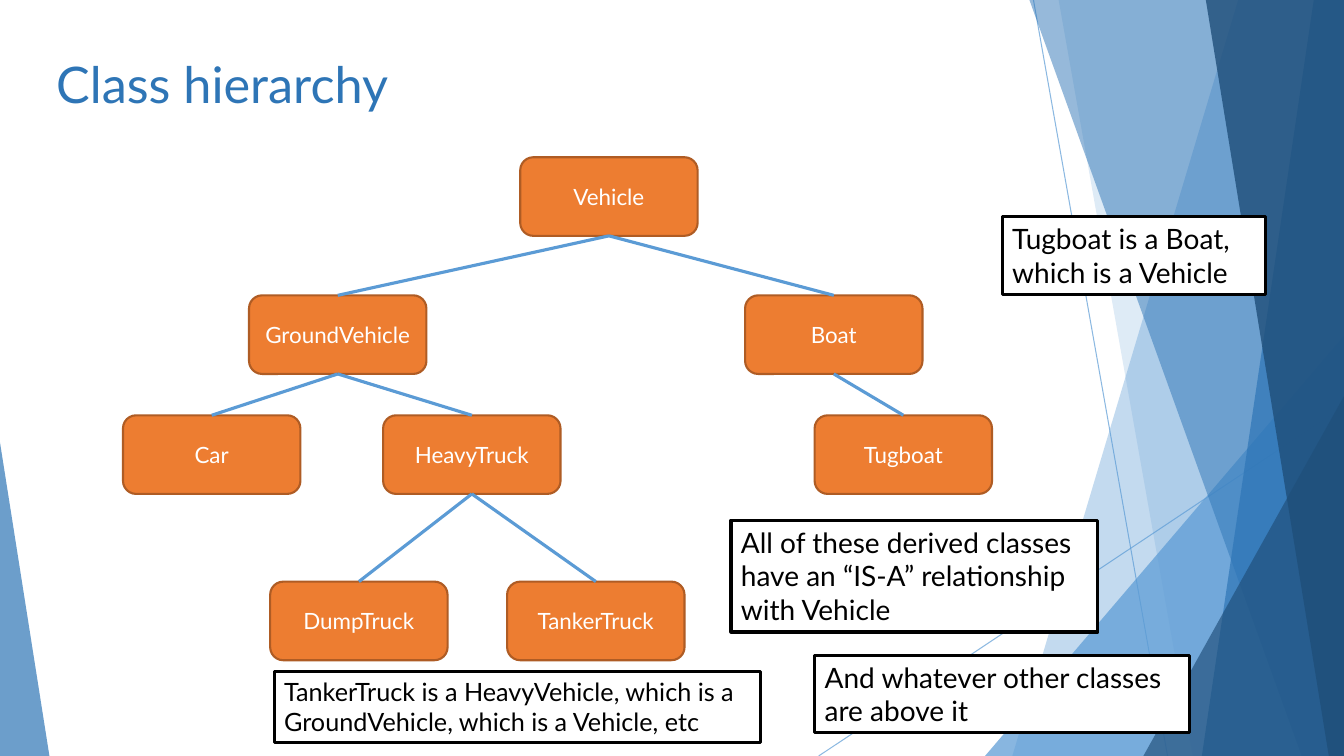
from dataclasses import dataclass

from lxml.etree import SubElement
from pptx import Presentation
from pptx.dml.color import RGBColor
from pptx.enum.shapes import MSO_CONNECTOR as Connector, MSO_SHAPE as Preset
from pptx.enum.text import MSO_ANCHOR as Anchor, PP_ALIGN as Align
from pptx.oxml.ns import qn
from pptx.util import Inches, Pt

WIDTH, HEIGHT = 13.33, 7.5
NODE_WIDTH, NODE_HEIGHT = 1.76, 0.78
FONT = "Lato"
WHITE, BLACK = "FFFFFF", "000000"
LIGHT_BLUE, BLUE, NAVY = "5B9BD5", "2E75B6", "1F4E79"
ORANGE, BROWN = "ED7D31", "AF5C24"


@dataclass
class Ray:
    start: tuple[float, float]
    end: tuple[float, float]


@dataclass
class Band:
    top_x: float
    bottom_x: float
    color: str
    opacity: int


@dataclass
class Corner:
    left: float
    top: float
    width: float
    apex: float
    color: str
    opacity: int


@dataclass
class Node:
    name: str
    left: float
    top: float
    parent: str = ""


@dataclass
class Note:
    text: str
    left: float
    top: float
    width: float
    height: float
    size: int = 20


RAYS = [Ray((10.25, 0), (11.58, HEIGHT)), Ray((WIDTH, 4.03), (8.12, HEIGHT))]
FACETS = [
    Band(12.28, 10.04, LIGHT_BLUE, 36),
    Band(10.5, 11.83, LIGHT_BLUE, 20),
    Corner(9.77, 3.33, 3.56, 1, LIGHT_BLUE, 72),
    Band(10.21, 12.91, BLUE, 50),
    Band(13.03, 11.92, BLUE, 70),
    Band(11.96, 13.18, NAVY, 80),
    Corner(11.34, 3.93, 1.99, 1, NAVY, 66),
    Corner(0, 4.39, 0.49, 0, BLUE, 70),
]
NODES = [
    Node("Vehicle", 5.16, 1.56),
    Node("GroundVehicle", 2.47, 2.93, "Vehicle"),
    Node("Boat", 7.39, 2.93, "Vehicle"),
    Node("Car", 1.22, 4.12, "GroundVehicle"),
    Node("HeavyTruck", 3.8, 4.12, "GroundVehicle"),
    Node("Tugboat", 8.08, 4.12, "Boat"),
    Node("DumpTruck", 2.68, 5.77, "HeavyTruck"),
    Node("TankerTruck", 5.03, 5.77, "HeavyTruck"),
]
NOTES = [
    Note("All of these derived classes have an “IS-A” relationship with Vehicle", 7.25, 5.16, 3.64, 1.11),
    Note("And whatever other classes are above it", 8.08, 6.5, 3.72, 0.77),
    Note("Tugboat is a Boat, which is a Vehicle", 9.94, 2.15, 2.61, 0.77),
    Note("TankerTruck is a HeavyVehicle, which is a GroundVehicle, which is a Vehicle, etc",
         2.72, 6.66, 4.82, 0.71, 18),
]


def rgb(color: str) -> RGBColor:
    return RGBColor.from_string(color)


def set_opacity(shape, percent: int) -> None:
    for color in shape.element.spPr.iter(qn("a:srgbClr")):
        SubElement(color, qn("a:alpha")).set("val", str(percent * 1000))


def paint(shape, fill: str, line: str = "", weight: float = 0) -> None:
    shape.shadow.inherit = False
    shape.fill.solid()
    shape.fill.fore_color.rgb = rgb(fill)
    if line:
        shape.line.color.rgb = rgb(line)
        shape.line.width = Pt(weight)
    else:
        shape.line.fill.background()


def write(shape, text: str, size: int, color: str, align=Align.LEFT, anchor=Anchor.TOP) -> None:
    frame = shape.text_frame
    frame.word_wrap = True
    frame.vertical_anchor = anchor
    paragraph = frame.paragraphs[0]
    paragraph.alignment = align
    run = paragraph.add_run()
    run.text = text
    run.font.name = FONT
    run.font.size = Pt(size)
    run.font.color.rgb = rgb(color)


def add_line(slide, start: tuple[float, float], end: tuple[float, float], weight: float):
    points = [Inches(value) for value in (*start, *end)]
    connector = slide.shapes.add_connector(Connector.STRAIGHT, *points)
    connector.line.color.rgb = rgb(LIGHT_BLUE)
    connector.line.width = Pt(weight)
    SubElement(connector.element.spPr, qn("a:effectLst"))
    return connector


def add_preset(slide, preset, left: float, top: float, width: float, height: float):
    return slide.shapes.add_shape(preset, Inches(left), Inches(top), Inches(width), Inches(height))


def add_facet(slide, facet: Band | Corner) -> None:
    if isinstance(facet, Band):
        outline = [(WIDTH, 0), (WIDTH, HEIGHT), (facet.bottom_x, HEIGHT)]
        builder = slide.shapes.build_freeform(Inches(facet.top_x), 0)
        builder.add_line_segments([(Inches(x), Inches(y)) for x, y in outline])
        shape = builder.convert_to_shape()
    else:
        shape = add_preset(slide, Preset.ISOSCELES_TRIANGLE, facet.left, facet.top,
                           facet.width, HEIGHT - facet.top)
        shape.adjustments[0] = facet.apex
    paint(shape, facet.color)
    set_opacity(shape, facet.opacity)


def add_node(slide, node: Node):
    shape = add_preset(slide, Preset.ROUNDED_RECTANGLE, node.left, node.top, NODE_WIDTH, NODE_HEIGHT)
    paint(shape, ORANGE, BROWN, 1.5)
    write(shape, node.name, 16, WHITE, Align.CENTER, Anchor.MIDDLE)
    return shape


def add_note(slide, note: Note) -> None:
    shape = add_preset(slide, Preset.RECTANGLE, note.left, note.top, note.width, note.height)
    paint(shape, WHITE, BLACK, 2.25)
    write(shape, note.text, note.size, BLACK)


presentation = Presentation()
presentation.slide_width = Inches(WIDTH)
presentation.slide_height = Inches(HEIGHT)
slide = presentation.slides.add_slide(presentation.slide_layouts[6])

for ray in RAYS:
    set_opacity(add_line(slide, ray.start, ray.end, 0.75), 70)
for facet in FACETS:
    add_facet(slide, facet)

title = slide.shapes.add_textbox(Inches(0.46), Inches(0.48), Inches(9.4), Inches(0.69))
write(title, "Class hierarchy", 36, BLUE, anchor=Anchor.MIDDLE)

boxes = {node.name: add_node(slide, node) for node in NODES}
for node in NODES:
    if node.parent:
        branch = add_line(slide, (0, 0), (0, 0), 2.25)
        branch.begin_connect(boxes[node.parent], 2)
        branch.end_connect(boxes[node.name], 0)
for note in NOTES:
    add_note(slide, note)

presentation.save("out.pptx")
